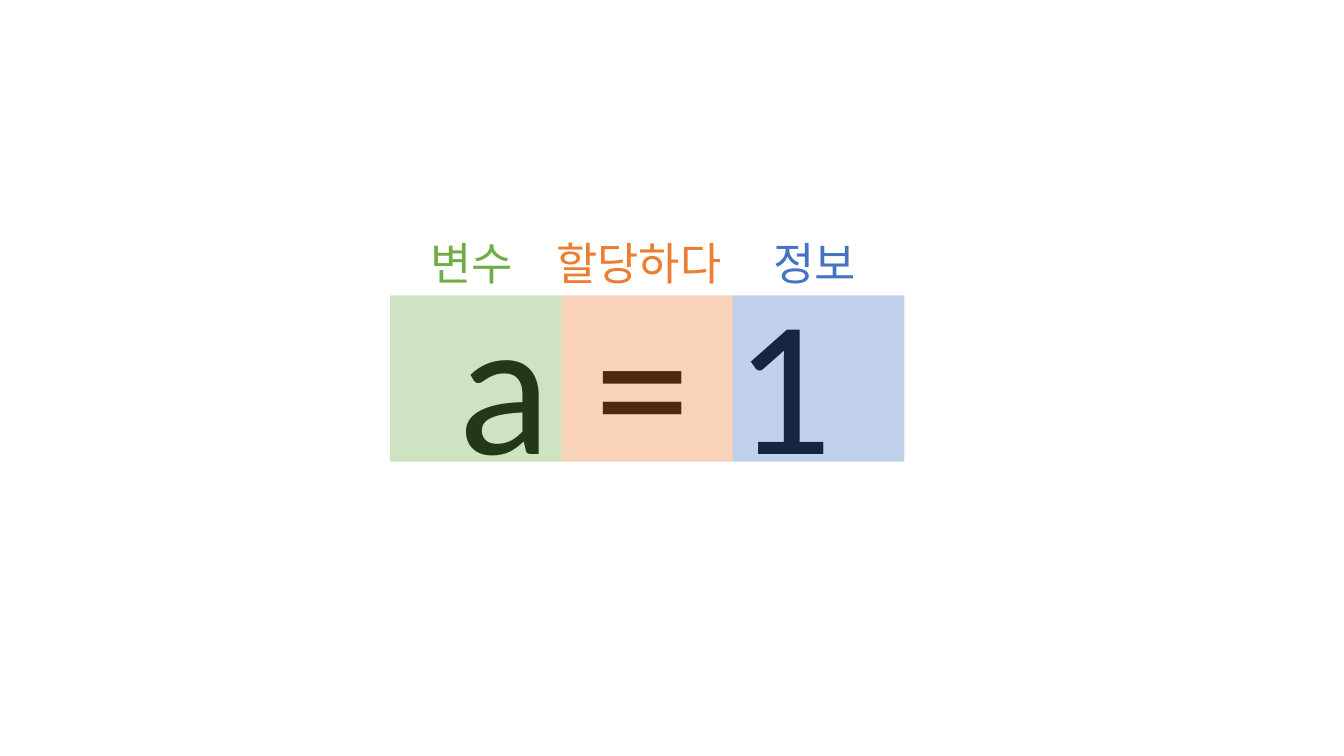
import pptx
import pptx.dml.color
import pptx.enum.shapes
import pptx.enum.text
import pptx.oxml.ns
import pptx.util
from lxml import etree
from pptx.util import Inches

RGBColor = pptx.dml.color.RGBColor
BLACK = RGBColor(0x00, 0x00, 0x00)
GREEN = RGBColor(0x70, 0xAD, 0x47)
ORANGE = RGBColor(0xED, 0x7D, 0x31)
BLUE = RGBColor(0x44, 0x72, 0xC4)

FONT = "Calibri"
LEFT, TOP = 3.87, 2.93
WIDE, HIGH = 1.7, 1.65
LABEL_HIGH = 0.64

# Label, colour and label width of each part of the assignment
PARTS = [
    ("변수", GREEN, 1.1),
    ("할당하다", ORANGE, 2.0),
    ("정보", BLUE, 1.1),
]


def add_text(slide, text, box, size, color):
    """Add one line of text that does not wrap and fits its box."""
    shape = slide.shapes.add_textbox(*map(Inches, box))
    frame = shape.text_frame
    frame.word_wrap = False
    frame.auto_size = pptx.enum.text.MSO_AUTO_SIZE.SHAPE_TO_FIT_TEXT
    frame.text = text
    font = frame.paragraphs[0].font
    font.name = FONT
    font.size = pptx.util.Pt(size)
    font.color.rgb = color


def add_tile(slide, left, color):
    """Add a see-through square over one part of the code."""
    tile = slide.shapes.add_shape(
        pptx.enum.shapes.MSO_SHAPE.RECTANGLE,
        Inches(left), Inches(TOP), Inches(WIDE), Inches(HIGH))
    tile.shadow.inherit = False
    tile.line.fill.background()
    tile.fill.solid()
    tile.fill.fore_color.rgb = color
    qn = pptx.oxml.ns.qn
    tint = tile.fill._xPr.find(qn("a:solidFill")).find(qn("a:srgbClr"))
    etree.SubElement(tint, qn("a:alpha"), val="33000")


def main():
    """Build the slide that explains an assignment."""
    deck = pptx.Presentation()
    deck.slide_width, deck.slide_height = Inches(13.33), Inches(7.5)
    slide = deck.slides.add_slide(deck.slide_layouts[6])

    add_text(slide, "a = 1", (4.45, 2.54, 3.95, 2.42), 138, BLACK)
    lefts = [LEFT + i * WIDE for i in range(len(PARTS))]
    for left, (_, color, _) in zip(lefts, PARTS):
        add_tile(slide, left, color)
    for left, (label, color, width) in zip(lefts, PARTS):
        start = left + (WIDE - width) / 2
        box = (start, TOP - LABEL_HIGH, width, LABEL_HIGH)
        add_text(slide, label, box, 32, color)

    deck.save("out.pptx")


main()
